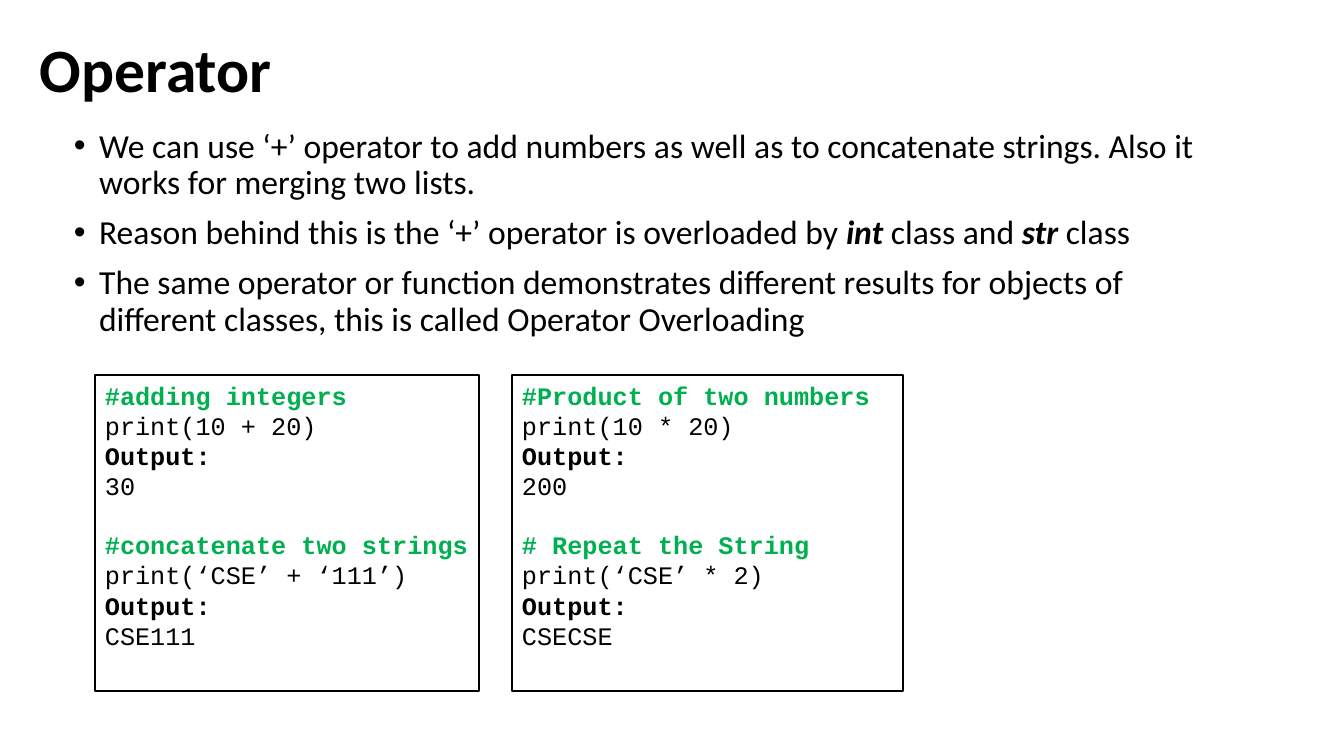
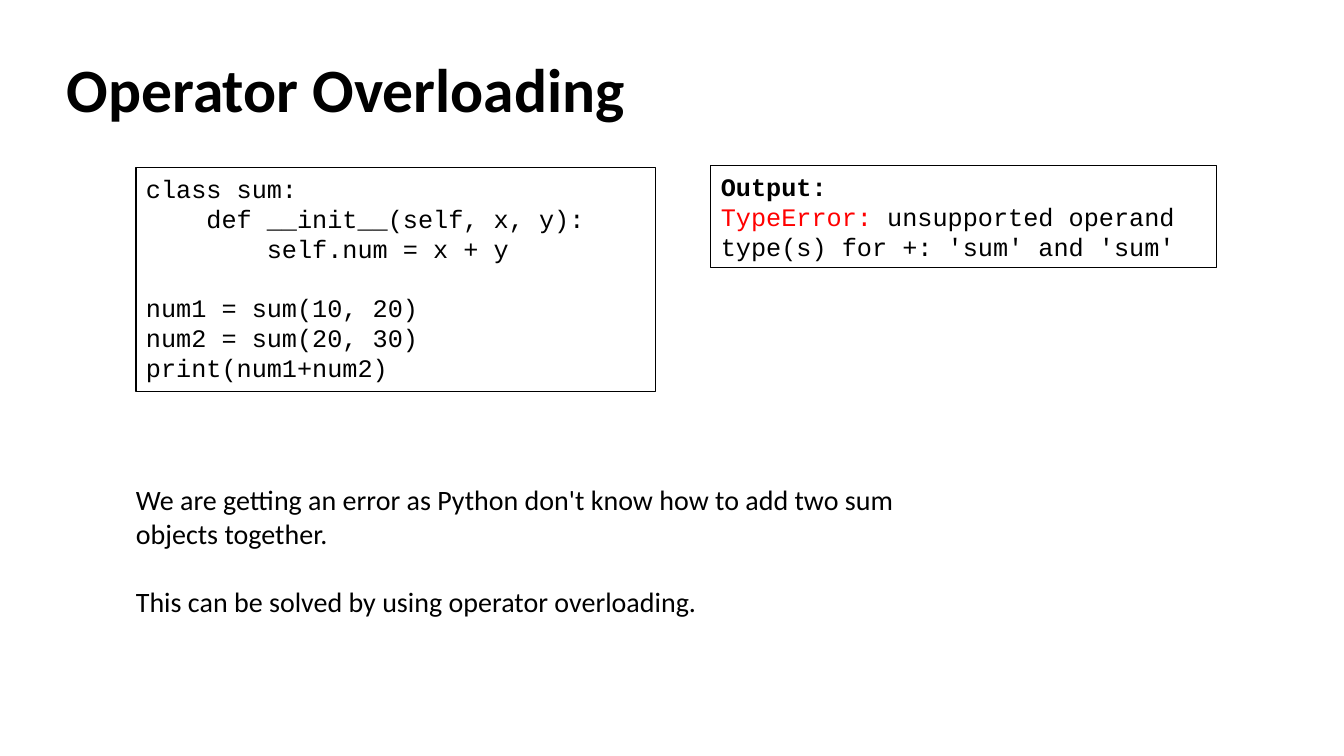
from dataclasses import dataclass
from typing import Optional

from pptx import Presentation
from pptx.dml.color import RGBColor
from pptx.enum.shapes import MSO_SHAPE
from pptx.enum.text import MSO_ANCHOR, PP_ALIGN
from pptx.oxml import parse_xml
from pptx.oxml.ns import nsdecls
from pptx.slide import Slide
from pptx.text.text import TextFrame, _Paragraph
from pptx.util import Emu, Pt

PIXEL = 914400 / 100.8
BLACK, WHITE, GREEN, RED = "000000", "FFFFFF", "00B050", "FF0000"
BODY_FONT, CODE_FONT = "Calibri", "Courier New"
CODE_SIZE = 18
CODE_LINE = 20.4  # points from one code line to the next
CODE_INDENT = 4 * 0.6 * CODE_SIZE  # four monospaced characters
BULLET_INDENT = 18


@dataclass(frozen=True)
class Area:
    """A rectangle in pixels."""
    left: int
    top: int
    width: int
    height: int


@dataclass(frozen=True)
class Span:
    """A stretch of text in one format."""
    text: str
    bold: bool = False
    italic: bool = False
    color: str = BLACK


@dataclass(frozen=True)
class Line:
    """A paragraph: its spans, space before in points and indent level."""
    spans: tuple[Span, ...]
    before: float = 0
    level: int = 0


@dataclass(frozen=True)
class CodeBox:
    """A framed block of code."""
    area: Area
    lines: tuple[Line, ...]
    border: float = 0.75
    fill: Optional[str] = None


def px(length: int) -> Emu:
    """Turn pixels into EMU."""
    return Emu(round(length * PIXEL))


def rgb(color: str) -> RGBColor:
    """Turn a hex string into a colour."""
    return RGBColor.from_string(color)


def place(area: Area) -> tuple[Emu, Emu, Emu, Emu]:
    """Give an area's left, top, width and height in EMU."""
    return px(area.left), px(area.top), px(area.width), px(area.height)


def plain(text: str, before: float = 0, level: int = 0) -> Line:
    """Make a line of a single unstyled span."""
    return Line((Span(text),), before, level)


def example(comment: str, code: str, result: str, before: float = 0) -> tuple[Line, ...]:
    """Make a commented code example followed by its output."""
    return (
        Line((Span(comment, bold=True, color=GREEN),), before),
        plain(code),
        Line((Span("Output:", bold=True),)),
        plain(result),
    )


def add_span(para: _Paragraph, text: str, *, font: str, size: float,
             bold: bool = False, italic: bool = False, color: str = BLACK) -> None:
    """Append formatted text to a paragraph."""
    span = para.add_run()
    span.text = text
    span.font.name = font
    span.font.size = Pt(size)
    span.font.bold = bold
    span.font.italic = italic
    span.font.color.rgb = rgb(color)


def add_bullet(para: _Paragraph) -> None:
    """Give a paragraph a hanging bullet."""
    properties = para._p.get_or_add_pPr()
    properties.set("marL", str(Pt(BULLET_INDENT)))
    properties.set("indent", str(-Pt(BULLET_INDENT)))
    properties.append(parse_xml(f'<a:buFont {nsdecls("a")} typeface="Arial"/>'))
    properties.append(parse_xml(f'<a:buChar {nsdecls("a")} char="•"/>'))


def fill_frame(frame: TextFrame, lines: tuple[Line, ...], *, font: str, size: float,
               spacing: float = 1.0, bulleted: bool = False) -> None:
    """Write lines into a wrapping, left-aligned text frame."""
    frame.word_wrap = True
    for index, line in enumerate(lines):
        para = frame.add_paragraph() if index else frame.paragraphs[0]
        para.alignment = PP_ALIGN.LEFT
        para.line_spacing = spacing
        para.space_before = Pt(line.before)
        if bulleted:
            add_bullet(para)
        elif line.level:
            para._p.get_or_add_pPr().set("marL", str(Pt(line.level * CODE_INDENT)))
        for span in line.spans:
            add_span(para, span.text, font=font, size=size, bold=span.bold,
                     italic=span.italic, color=span.color)


def add_text(page: Slide, area: Area, lines: tuple[Line, ...], *, size: float,
             spacing: float = 1.0, bulleted: bool = False,
             anchor: MSO_ANCHOR = MSO_ANCHOR.TOP) -> None:
    """Add a text box in the body font."""
    box = page.shapes.add_textbox(*place(area))
    box.text_frame.vertical_anchor = anchor
    fill_frame(box.text_frame, lines, font=BODY_FONT, size=size,
               spacing=spacing, bulleted=bulleted)


def add_title(page: Slide, text: str, left: int, top: int) -> None:
    """Add a slide title."""
    add_text(page, Area(left, top, 1159, 146), (Line((Span(text, bold=True),)),),
             size=44, spacing=0.9, anchor=MSO_ANCHOR.MIDDLE)


def add_code(page: Slide, code: CodeBox) -> None:
    """Draw a framed code block."""
    box = page.shapes.add_shape(MSO_SHAPE.RECTANGLE, *place(code.area))
    box.shadow.inherit = False
    if code.fill:
        box.fill.solid()
        box.fill.fore_color.rgb = rgb(code.fill)
    else:
        box.fill.background()
    box.line.color.rgb = rgb(BLACK)
    box.line.width = Pt(code.border)
    box.text_frame.vertical_anchor = MSO_ANCHOR.TOP
    fill_frame(box.text_frame, code.lines, font=CODE_FONT, size=CODE_SIZE)


BULLETS = (
    plain("We can use ‘+’ operator to add numbers as well as to concatenate strings. "
          "Also it works for merging two lists.", before=10),
    Line((
        Span("Reason behind this is the ‘+’ operator is overloaded by "),
        Span("int", bold=True, italic=True),
        Span(" class and "),
        Span("str", bold=True, italic=True),
        Span(" class"),
    ), before=10),
    plain("The same operator or function demonstrates different results for objects of "
          "different classes, this is called Operator Overloading", before=10),
)

OPERATOR_EXAMPLES = (
    CodeBox(
        Area(95, 375, 384, 316),
        example("#adding integers", "print(10 + 20)", "30")
        + example("#concatenate two strings", "print(‘CSE’ + ‘111’)", "CSE111", CODE_LINE),
        border=1, fill=WHITE),
    CodeBox(
        Area(512, 375, 391, 316),
        example("#Product of two numbers", "print(10 * 20)", "200")
        + example("# Repeat the String", "print(‘CSE’ * 2)", "CSECSE", CODE_LINE),
        border=1, fill=WHITE),
)

SUM_CLASS = CodeBox(Area(136, 168, 520, 224), (
    plain("class sum:"),
    plain("def __init__(self, x, y):", level=1),
    plain("self.num = x + y", level=2),
    plain("num1 = sum(10, 20)", before=CODE_LINE),
    plain("num2 = sum(20, 30)"),
    plain("print(num1+num2)"),
))

SUM_ERROR = CodeBox(Area(711, 166, 506, 102), (
    Line((Span("Output:", bold=True),)),
    Line((Span("TypeError: ", color=RED),
          Span("unsupported operand type(s) for +: 'sum' and 'sum'"))),
))

EXPLANATION = (
    plain("We are getting an error as Python don't know how to add two sum objects together."),
    plain("This can be solved by using operator overloading.", before=24.4),
)


def build_operator(page: Slide) -> None:
    """Build the slide on what the operators do."""
    add_title(page, "Operator", 30, 0)
    add_text(page, Area(64, 124, 1159, 386), BULLETS, size=24, spacing=0.9, bulleted=True)
    for code in OPERATOR_EXAMPLES:
        add_code(page, code)


def build_overloading(page: Slide) -> None:
    """Build the slide on why overloading is needed."""
    add_title(page, "Operator Overloading", 57, 20)
    for code in (SUM_CLASS, SUM_ERROR):
        add_code(page, code)
    add_text(page, Area(126, 478, 781, 176), EXPLANATION, size=20)


def main() -> None:
    """Build and save the deck."""
    deck = Presentation()
    deck.slide_width, deck.slide_height = px(1344), px(756)
    blank = deck.slide_layouts[6]
    for build in (build_operator, build_overloading):
        build(deck.slides.add_slide(blank))
    deck.save("out.pptx")


main()
